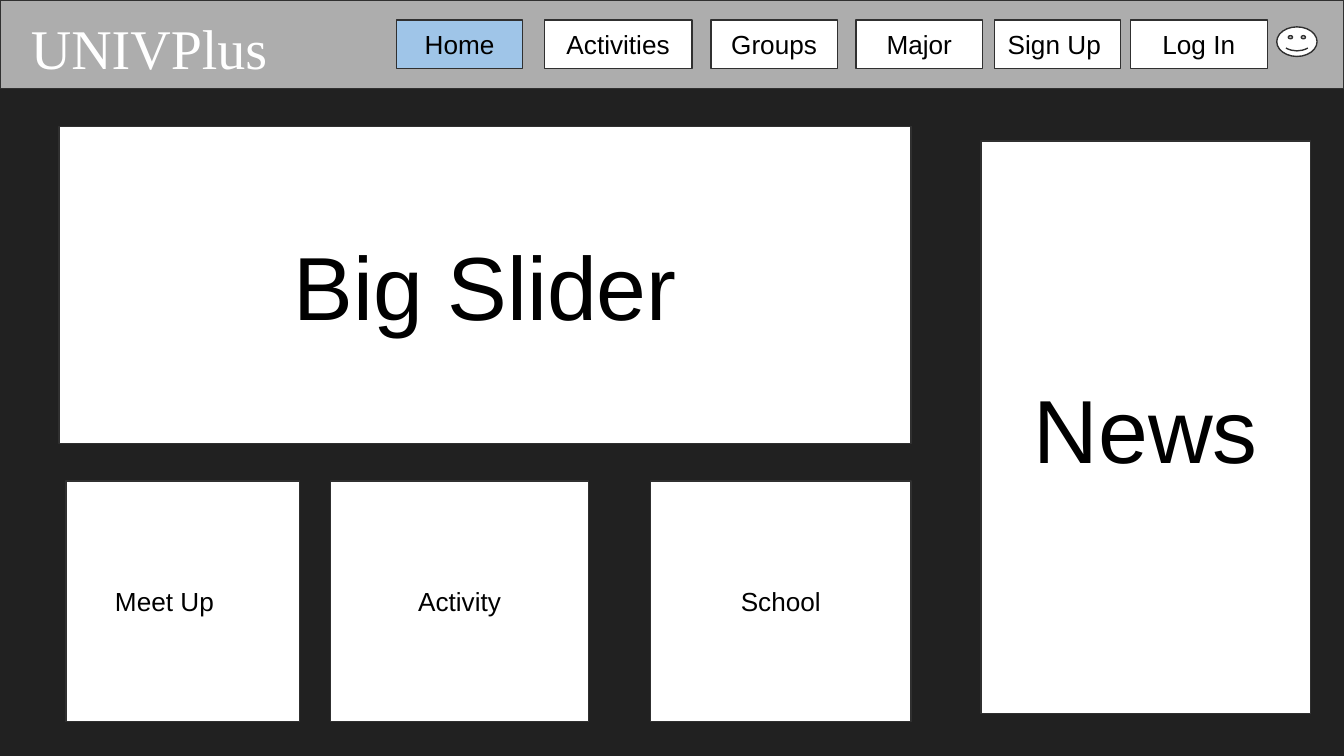
from pptx import Presentation
from pptx.dml.color import RGBColor
from pptx.enum.shapes import MSO_SHAPE as Shape
from pptx.enum.text import MSO_ANCHOR as Anchor, MSO_AUTO_SIZE as AutoSize, PP_ALIGN as Align
from pptx.util import Inches, Pt

WHITE, BLACK, LINE = "FFFFFF", "000000", "303030"
TITLE_ONLY = 5
PAGE_WIDTH = 10
PAGE_HEIGHT = PAGE_WIDTH * 9 / 16
NAV_TOP, NAV_HEIGHT = 0.15, 0.36
CARD_TOP, CARD_HEIGHT = 3.58, 1.79

NAV_BUTTONS = [
    ("Home", 2.95, 0.94, "9FC5E8", Align.CENTER),
    ("Activities", 4.05, 1.1, WHITE, Align.CENTER),
    ("Groups", 5.29, 0.94, WHITE, Align.CENTER),
    ("Major", 6.37, 0.94, WHITE, Align.CENTER),
    ("Sign Up", 7.4, 0.94, WHITE, Align.LEFT),
    ("Log In", 8.41, 1.02, WHITE, Align.CENTER),
]
CARDS = [
    ("Meet Up", 0.49, 1.74, 0.37),
    ("Activity", 2.46, 1.92, 0.1),
    ("School", 4.84, 1.94, 0.1),
]


def paint(fill, color):
    """Make a fill solid in the given hex colour."""
    fill.solid()
    fill.fore_color.rgb = RGBColor.from_string(color)


def write(holder, text, size, font="Arial", color=BLACK, align=Align.CENTER,
          anchor=Anchor.MIDDLE, right_inset=0.1):
    """Put one formatted run of text into a shape."""
    frame = holder.text_frame
    frame.word_wrap = True
    frame.auto_size = AutoSize.NONE
    frame.vertical_anchor = anchor
    frame.margin_left = frame.margin_top = frame.margin_bottom = Inches(0.1)
    frame.margin_right = Inches(right_inset)
    paragraph = frame.paragraphs[0]
    paragraph.alignment = align
    run = paragraph.add_run()
    run.text = text
    run.font.size = Pt(size)
    run.font.name = font
    run.font.color.rgb = RGBColor.from_string(color)


def add_panel(slide, left, top, width, height, fill=WHITE, kind=Shape.RECTANGLE):
    """Add a filled, thinly outlined shape without a shadow."""
    panel = slide.shapes.add_shape(
        kind, Inches(left), Inches(top), Inches(width), Inches(height))
    panel.shadow.inherit = False
    paint(panel.fill, fill)
    paint(panel.line.fill, LINE)
    panel.line.width = Pt(0.75)
    return panel


def add_site_name(slide, header):
    """Place the title placeholder in front of the header bar."""
    site_name = slide.shapes.title
    site_name.left, site_name.top = Inches(0.13), Inches(0)
    site_name.width, site_name.height = Inches(3.49), Inches(0.75)
    write(site_name, "UNIVPlus", 30, "Times New Roman", WHITE, Align.LEFT, Anchor.TOP)
    header.element.addnext(site_name.element)


def add_header(slide):
    """Add the header bar with site name, navigation and avatar."""
    header = add_panel(slide, 0, 0, PAGE_WIDTH, 0.66, "ADADAD")
    add_site_name(slide, header)
    for label, left, width, fill, align in NAV_BUTTONS:
        button = add_panel(slide, left, NAV_TOP, width, NAV_HEIGHT, fill)
        write(button, label, 14, align=align)
    avatar = add_panel(slide, 9.5, 0.2, 0.3, 0.22, kind=Shape.SMILEY_FACE)
    avatar.adjustments[0] = 0.05


def add_content(slide):
    """Add the slider, the news column and the row of cards."""
    slider = add_panel(slide, 0.44, 0.94, 6.34, 2.36)
    write(slider, "Big Slider", 48)
    news = add_panel(slide, 7.3, 1.05, 2.45, 4.26)
    write(news, "News", 48)
    for label, left, width, right_inset in CARDS:
        card = add_panel(slide, left, CARD_TOP, width, CARD_HEIGHT)
        write(card, label, 14, right_inset=right_inset)


def main():
    """Build and save the home page wireframe."""
    deck = Presentation()
    deck.slide_width, deck.slide_height = Inches(PAGE_WIDTH), Inches(PAGE_HEIGHT)
    slide = deck.slides.add_slide(deck.slide_layouts[TITLE_ONLY])
    paint(slide.background.fill, "212121")
    add_header(slide)
    add_content(slide)
    deck.save("out.pptx")


if __name__ == "__main__":
    main()
